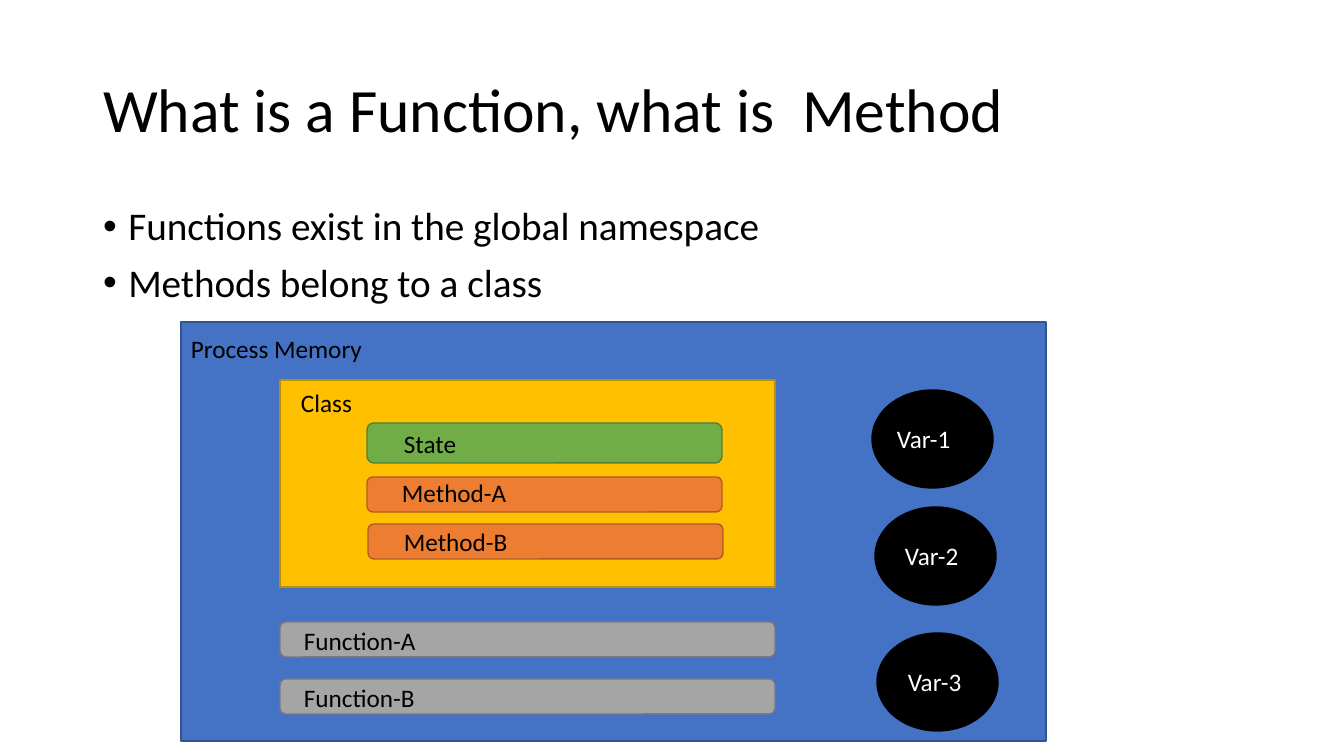
from pptx import Presentation
from pptx import util as u
from pptx.dml.color import RGBColor
from pptx.enum import shapes, text

PX = 914400 / 100.8
KIND = shapes.MSO_SHAPE


def emu(*sizes):
    return [u.Emu(round(size * PX)) for size in sizes]


def style(font, size, color):
    font.name = "Calibri"
    font.size = u.Pt(size)
    font.color.rgb = RGBColor.from_string(color)


prs = Presentation()
prs.slide_width, prs.slide_height = u.Inches(13.333), u.Inches(7.5)
slide = prs.slides.add_slide(prs.slide_layouts[1])

# Title and bullet list
title, body = slide.placeholders
title.left, title.top, title.width, title.height = emu(93, 40, 1159, 146)
body.left, body.top, body.width, body.height = emu(93, 202, 1159, 120)
title.text_frame.text = "What is a Function, what is  Method"
body.text_frame.text = "Functions exist in the global namespace\nMethods belong to a class"
title.text_frame.vertical_anchor = text.MSO_ANCHOR.MIDDLE
for holder, size in ((title, 44), (body, 28)):
    holder.text_frame.auto_size = text.MSO_AUTO_SIZE.NONE
    for para in holder.text_frame.paragraphs:
        para.alignment = text.PP_ALIGN.LEFT
        para.line_spacing = 0.9
        para.space_before = u.Pt(10 if holder is body else 0)
        style(para.runs[0].font, size, "000000")
for para in body.text_frame.paragraphs:
    props = para._p.get_or_add_pPr()
    props.set("marL", "228600")
    props.set("indent", "-228600")

# Memory diagram: kind, box, fill, line, label, label left/top/width, label color
method = ("ED7D31", "AF5C24")
func = ("A5A5A5", "7A7A7A")
parts = [
    (KIND.RECTANGLE, (181, 322, 865, 419), "4472C4", "325491",
     "Process Memory", (181, 328, 234), "000000"),
    (KIND.RECTANGLE, (280, 380, 495, 207), "FFC000", "BD8E00",
     "Class", (291, 382, 124), "000000"),
    (KIND.ROUNDED_RECTANGLE, (367, 423, 355, 40), "70AD47", "538035",
     "State", (394, 423, 94), "000000"),
    (KIND.ROUNDED_RECTANGLE, (367, 477, 355, 35), *method,
     "Method-A", (392, 472, 192), "000000"),
    (KIND.ROUNDED_RECTANGLE, (368, 524, 355, 35), *method,
     "Method-B", (394, 521, 192), "000000"),
]
for name, top in (("A", 622), ("B", 679)):
    parts.append((KIND.ROUNDED_RECTANGLE, (280, top, 495, 35), *func,
                  f"Function-{name}", (294, top - 2, 335), "000000"))
for num, left, top, inset in ((1, 872, 390, 15), (2, 875, 507, 20), (3, 877, 633, 21)):
    parts.append((KIND.OVAL, (left, top, 121, 98), "000000", "000000",
                  f"Var-{num}", (left + inset, top + 28, 80), "FFFFFF"))

for kind, box, fill, line, label, place, color in parts:
    shape = slide.shapes.add_shape(kind, *emu(*box))
    shape.shadow.inherit = False
    shape.fill.solid()
    shape.fill.fore_color.rgb = RGBColor.from_string(fill)
    shape.line.color.rgb = RGBColor.from_string(line)
    shape.line.width = u.Pt(1)

    note = slide.shapes.add_textbox(*emu(*place, 40))
    note.text_frame.word_wrap = True
    note.text_frame.text = label
    style(note.text_frame.paragraphs[0].runs[0].font, 18, color)

prs.save("out.pptx")
